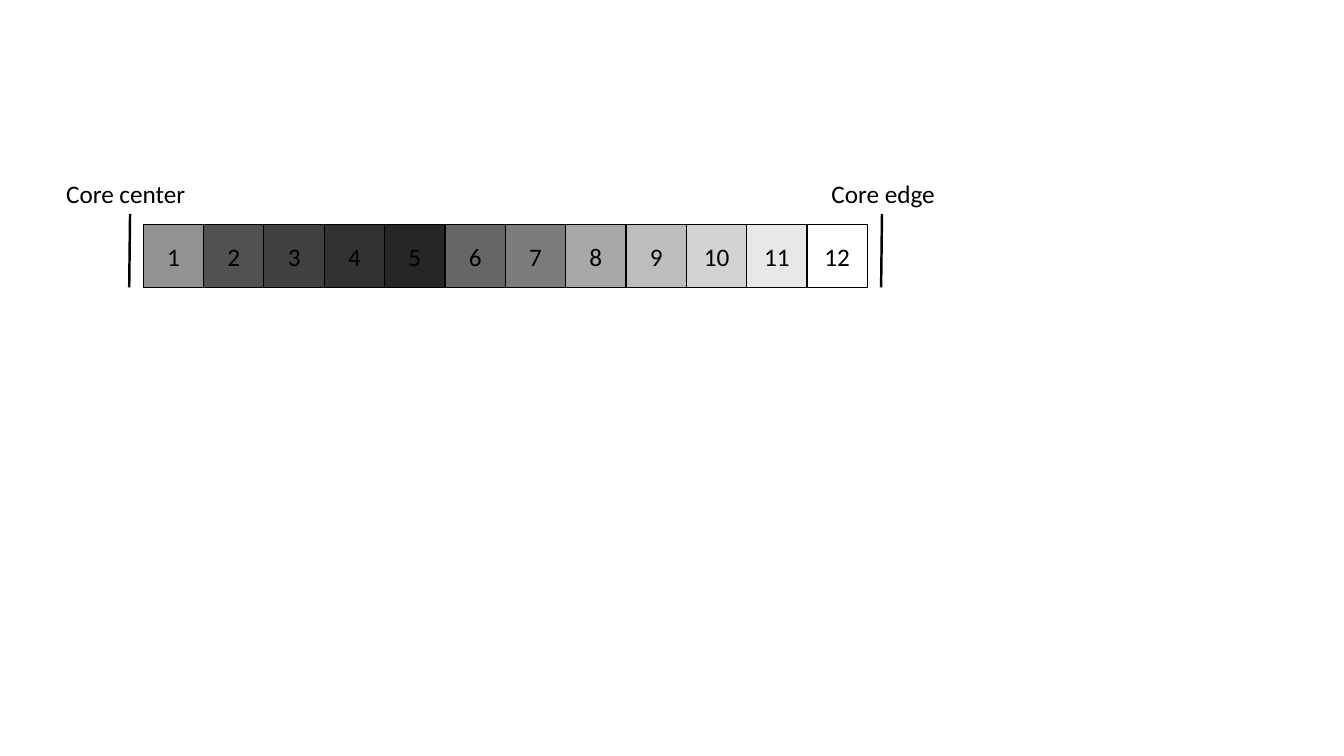
"""Build a slide showing twelve shaded core segments from center to edge."""
from dataclasses import dataclass

from pptx import Presentation
from pptx.dml.color import RGBColor as RGB
from pptx.enum.shapes import MSO_CONNECTOR as Connector, MSO_SHAPE as Shape
from pptx.enum.text import MSO_ANCHOR as Anchor, MSO_AUTO_SIZE as AutoSize, PP_ALIGN as Align
from pptx.oxml.xmlchemy import OxmlElement
from pptx.util import Pt


@dataclass(frozen=True)
class Theme:
    ink: RGB = RGB(0x00, 0x00, 0x00)
    shade: RGB = RGB(0x26, 0x26, 0x26)
    font: str = "Calibri"
    size: float = 18


theme = Theme()


def write(frame, text):
    paragraph = frame.paragraphs[0]
    paragraph.text = text
    paragraph.font.name = theme.font
    paragraph.font.size = Pt(theme.size)
    paragraph.font.color.rgb = theme.ink
    return paragraph


presentation = Presentation()
presentation.slide_width = Pt(960)
presentation.slide_height = Pt(540)
slide = presentation.slides.add_slide(presentation.slide_layouts[6])
core = slide.shapes.add_group_shape().shapes

segment_left, segment_top = 102.4, 160.6
segment_width, segment_height = 43.1, 44.6
opacities = [50, 80, 88, 94, 100, 70, 60, 40, 30, 20, 10, 0]

for index, opacity in enumerate(opacities):
    segment = core.add_shape(
        Shape.RECTANGLE,
        Pt(segment_left + index * segment_width), Pt(segment_top),
        Pt(segment_width), Pt(segment_height),
    )
    segment.shadow.inherit = False
    segment.line.color.rgb = theme.ink
    segment.line.width = Pt(0.75)
    if opacity:
        segment.fill.solid()
        segment.fill.fore_color.rgb = theme.shade
        alpha = OxmlElement("a:alpha")
        alpha.set("val", str(opacity * 1000))
        segment.fill._xPr.solidFill.srgbClr.append(alpha)
    else:
        segment.fill.background()
    segment.text_frame.vertical_anchor = Anchor.MIDDLE
    write(segment.text_frame, str(index + 1)).alignment = Align.CENTER

boundaries = [
    ("Core center", 40.2, 124.6, 92.9),
    ("Core edge", 586.8, 104.4, 630),
]
for name, label_left, label_width, marker_top_x in boundaries:
    label = core.add_textbox(Pt(label_left), Pt(124), Pt(label_width), Pt(29))
    label.text_frame.word_wrap = True
    label.text_frame.auto_size = AutoSize.SHAPE_TO_FIT_TEXT
    write(label.text_frame, name)

    marker = core.add_connector(
        Connector.STRAIGHT,
        Pt(marker_top_x), Pt(152.8), Pt(marker_top_x - 0.6), Pt(segment_top + segment_height),
    )
    marker.line.color.rgb = theme.ink
    marker.line.width = Pt(1.75)
    marker._element.spPr.append(OxmlElement("a:effectLst"))

presentation.save("out.pptx")
